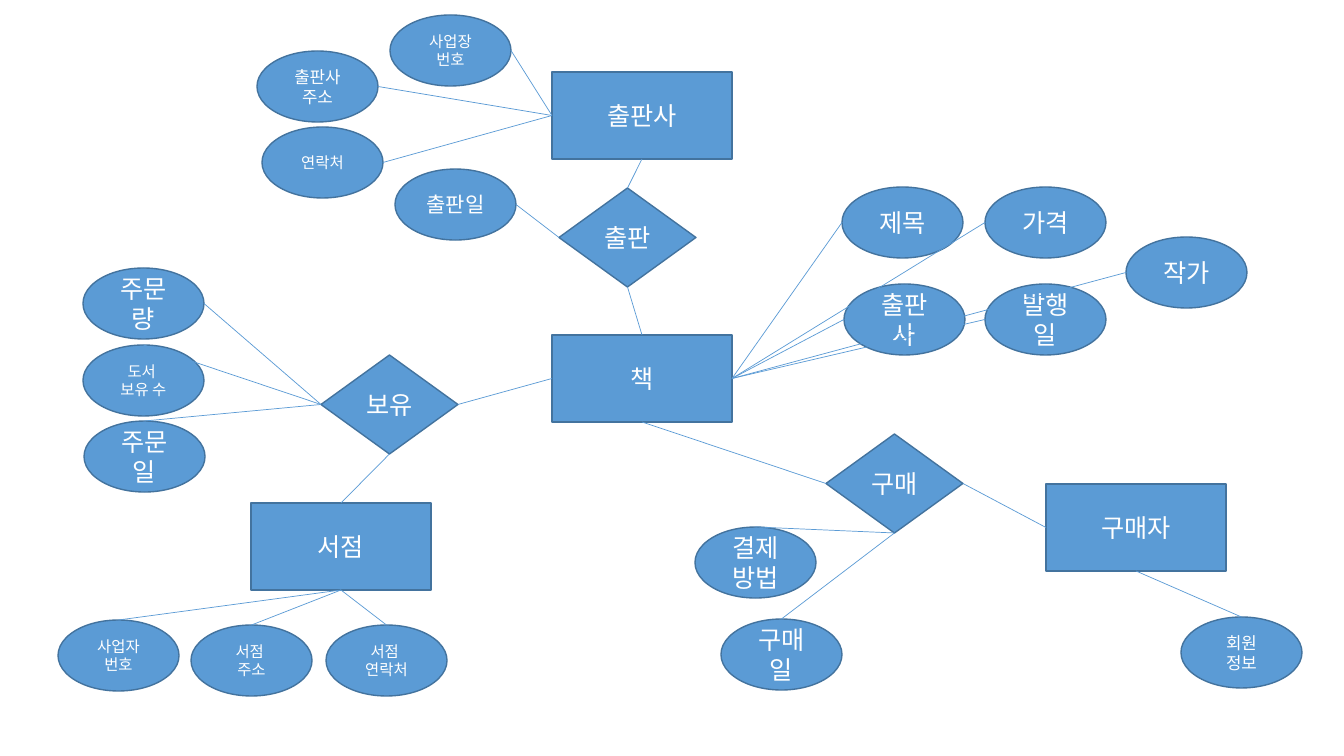
"""Builds the entity-relationship diagram of a book trade on one slide."""
from lxml.etree import SubElement
from pptx import Presentation
from pptx.dml.color import RGBColor
from pptx.enum.shapes import MSO_CONNECTOR as Line, MSO_SHAPE as Shape
from pptx.enum.text import MSO_ANCHOR as Anchor, PP_ALIGN as Align
from pptx.oxml.ns import qn
from pptx.util import Emu, Pt

SCALE = 914400 / 100.8
FONT = "Noto Sans CJK KR"
FILL, OUTLINE, WHITE = "5B9BD5", "43739E", "FFFFFF"

KINDS = {
    "entity": (Shape.RECTANGLE, 180, 87),
    "relation": (Shape.DIAMOND, 137, 99),
    "attribute": (Shape.OVAL, 121, 71),
}
ENTITIES = [("서점", 251, 503), ("출판사", 552, 72), ("책", 552, 335), ("구매자", 1046, 484)]
RELATIONS = [("보유", 321, 355), ("출판", 559, 188), ("구매", 826, 434)]

# Owner and its side, then text, left, top, size and side of each attribute.
ATTRIBUTES = {
    ("책", "right"): [
        ("제목", 842, 187, 18, "left"),
        ("가격", 985, 187, 18, "left"),
        ("작가", 1126, 237, 18, "left"),
        ("출판사", 844, 284, 18, "left"),
        ("발행일", 985, 284, 18, "left"),
    ],
    ("보유", "left"): [
        ("주문량", 83, 268, 18, "right"),
        ("도서 \n보유 수", 83, 345, 11, "top"),
        ("주문일", 84, 421, 18, "top"),
    ],
    ("구매", "bottom"): [
        ("결제방법", 695, 527, 18, "top"),
        ("구매일", 721, 619, 18, "top"),
    ],
    ("출판", "left"): [("출판일", 395, 169, 15, "right")],
    ("출판사", "left"): [
        ("사업장\n번호", 390, 15, 11, "right"),
        ("출판사 주소", 257, 51, 12, "right"),
        ("연락처", 262, 127, 11, "right"),
    ],
    ("서점", "bottom"): [
        ("사업자\n번호", 58, 620, 11, "top"),
        ("서점 \n주소", 191, 625, 11, "top"),
        ("서점 \n연락처", 326, 625, 11, "top"),
    ],
    ("구매자", "bottom"): [("회원\n정보", 1181, 617, 12, "top")],
}
LINKS = [
    ("서점", "top", "보유", "bottom"),
    ("보유", "right", "책", "left"),
    ("출판", "bottom", "책", "top"),
    ("출판", "top", "출판사", "bottom"),
    ("구매", "left", "책", "bottom"),
    ("구매", "right", "구매자", "left"),
]
SIDES = {"top": (0.5, 0), "left": (0, 0.5), "bottom": (0.5, 1), "right": (1, 0.5)}


def px(length):
    return Emu(round(length * SCALE))


def color(code):
    return RGBColor.from_string(code)


def write(box, text, size=18, ink=WHITE, align=Align.CENTER):
    frame = box.text_frame
    frame.word_wrap = True
    frame.vertical_anchor = Anchor.MIDDLE
    for number, line in enumerate(text.split("\n")):
        para = frame.add_paragraph() if number else frame.paragraphs[0]
        para.alignment = align
        span = para.add_run()
        span.text = line
        span.font.size = Pt(size)
        span.font.color.rgb = color(ink)
        span.font.name = FONT
        SubElement(span.font._element, qn("a:ea"), typeface=FONT)


def add_node(page, kind, text, left, top, size=18):
    preset, width, height = KINDS[kind]
    box = page.shapes.add_shape(preset, px(left), px(top), px(width), px(height))
    box.shadow.inherit = False
    box.fill.solid()
    box.fill.fore_color.rgb = color(FILL)
    box.line.color.rgb = color(OUTLINE)
    box.line.width = Pt(1)
    write(box, text, size=size)
    return box


def anchor_point(box, side):
    across, down = SIDES[side]
    return Emu(round(box.left + across * box.width)), Emu(round(box.top + down * box.height))


def link(page, start, start_side, end, end_side):
    line = page.shapes.add_connector(
        Line.STRAIGHT, *anchor_point(start, start_side), *anchor_point(end, end_side))
    line.line.color.rgb = color(FILL)
    line.line.width = Pt(0.5)
    SubElement(line._element.spPr, qn("a:effectLst"))
    ends = line._element.nvCxnSpPr.cNvCxnSpPr
    for glue, box, side in ((ends.get_or_add_stCxn(), start, start_side),
                            (ends.get_or_add_endCxn(), end, end_side)):
        step = 2 if box.auto_shape_type == Shape.OVAL else 1
        glue.id, glue.idx = box.shape_id, step * list(SIDES).index(side)


deck = Presentation()
deck.slide_width, deck.slide_height = px(1344), px(756)
page = deck.slides.add_slide(deck.slide_layouts[6])

nodes = {}
for kind, group in (("entity", ENTITIES), ("relation", RELATIONS)):
    for name, left, top in group:
        nodes[name] = add_node(page, kind, name, left, top)

pairs = [(nodes[start], start_side, nodes[end], end_side)
         for start, start_side, end, end_side in LINKS]
for (owner, owner_side), group in ATTRIBUTES.items():
    for text, left, top, size, side in group:
        oval = add_node(page, "attribute", text, left, top, size)
        pairs.append((nodes[owner], owner_side, oval, side))

for pair in pairs:
    link(page, *pair)

deck.save("out.pptx")
